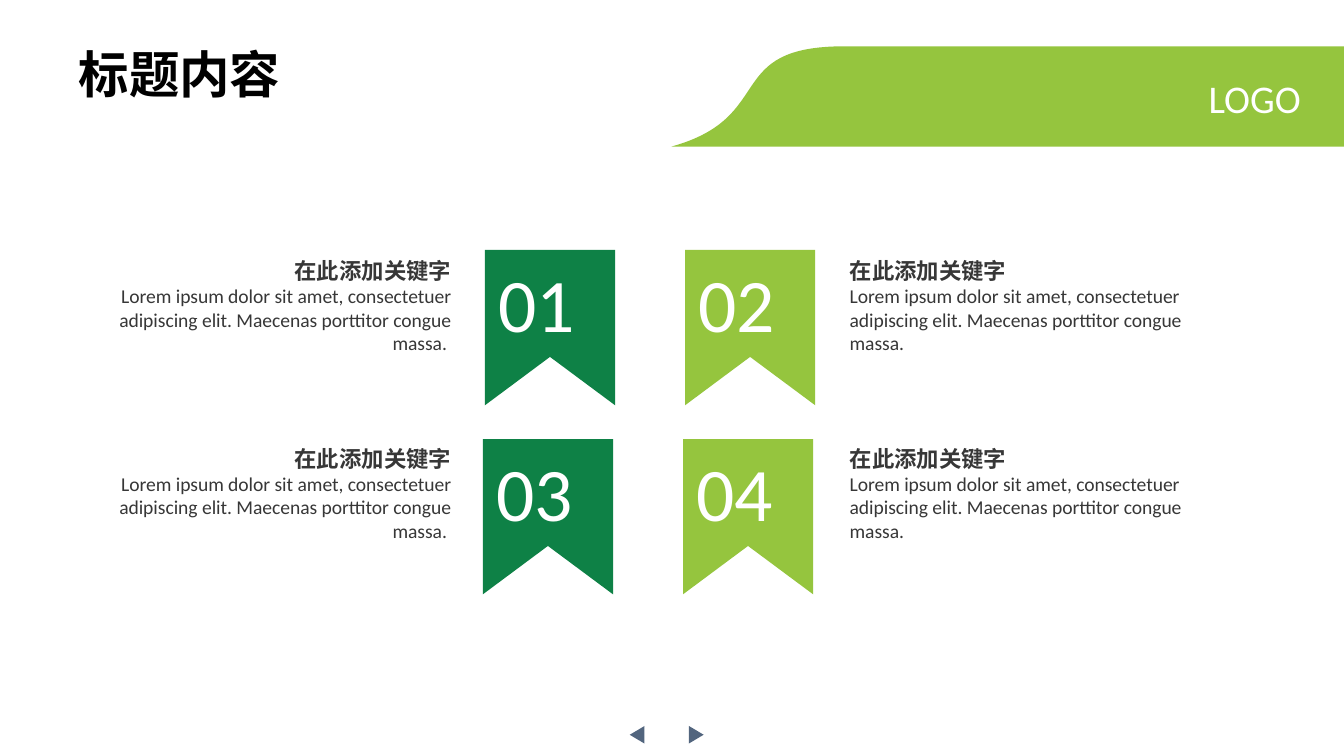
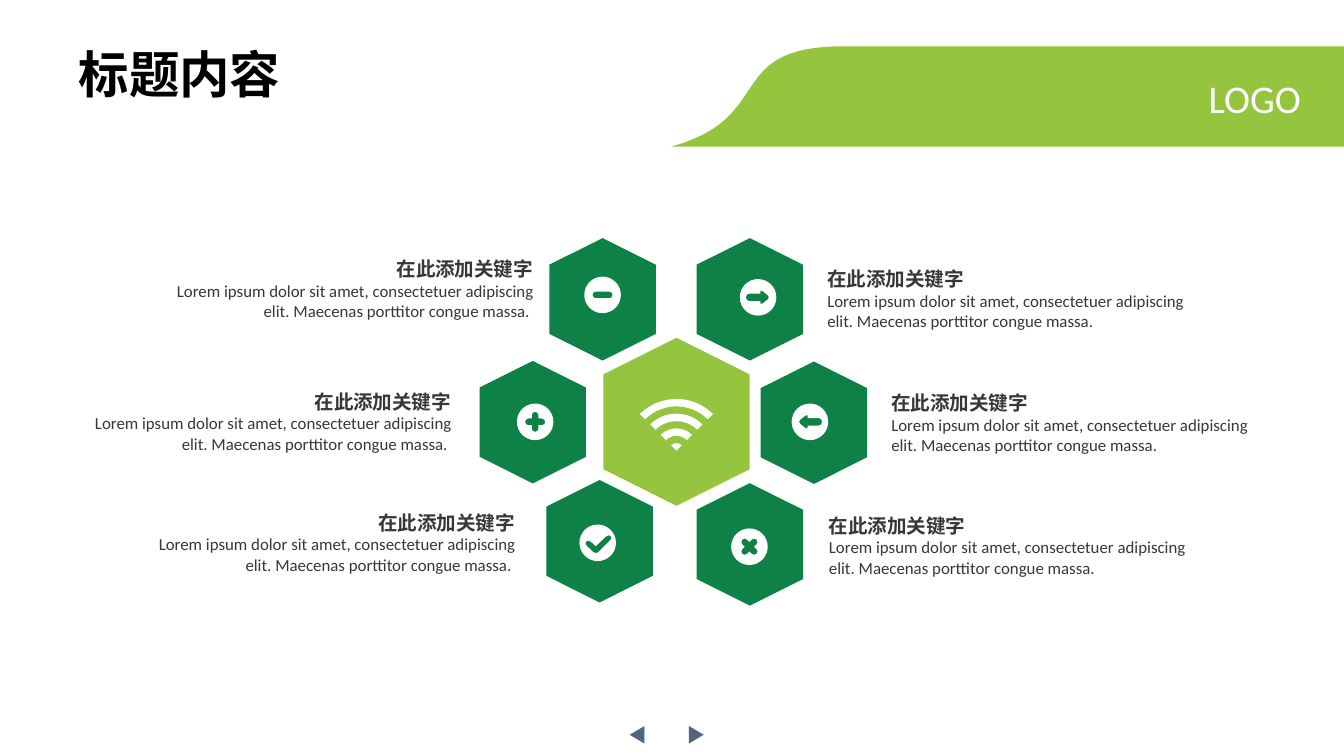
from dataclasses import dataclass
from math import cos, dist, pi, radians, sin

from pptx import Presentation
from pptx.dml.color import RGBColor
from pptx.enum.shapes import MSO_SHAPE
from pptx.enum.text import MSO_ANCHOR, MSO_AUTO_SIZE, PP_ALIGN
from pptx.oxml.ns import qn
from pptx.oxml.xmlchemy import OxmlElement
from pptx.util import Pt


@dataclass(frozen=True)
class Theme:
    font: str = "Calibri"
    black: str = "000000"
    white: str = "FFFFFF"
    body: str = "373737"
    dark_green: str = "0E8146"
    lime: str = "95C53E"
    slate: str = "52657E"
    title_size: float = 27
    logo_size: float = 21
    number_size: float = 40.5
    ribbon_text: tuple = (12, 10.5)
    hexagon_text: tuple = (10.5, 9)


THEME = Theme()
SLIDE_SIZE = (720, 405)
TITLE = "标题内容"
LOGO = "LOGO"
KEYWORD = "在此添加关键字"
LOREM = ("Lorem ipsum dolor sit amet, consectetuer adipiscing elit. "
         "Maecenas porttitor congue massa.")

TITLE_AREA = (35, 19.4, 123.8, 40.3)
LOGO_AREA = (639.9, 36, 64.1, 32.4)
# Each outline is a start point, then lines (one point) and curves (three points)
BAND = [((452.9, 24.8),), ((720, 24.8),), ((720, 78.5),), ((359.8, 78.5),),
        ((416.9, 62.6), (386.6, 24.6), (452.9, 24.8))]
ARROWS = [(368.3, 90), (336.6, 270)]  # left, rotation
ARROW_TOP, ARROW_SIZE = 389.7, (9.4, 7.9)

# Number, ribbon corner, caption corner, fill, caption on the left
RIBBONS = [
    ("01", (259.8, 133.9), (53.1, 134.3), THEME.dark_green, True),
    ("02", (367, 133.9), (448.1, 134.3), THEME.lime, False),
    ("03", (258.7, 235.2), (53.1, 234.9), THEME.dark_green, True),
    ("04", (365.9, 235.2), (448.1, 234.9), THEME.lime, False),
]
RIBBON_SIZE, NOTCH_TOP = (69.7, 83.2), 57.3
RIBBON_CAPTION = (195.8, 59.8)

# Icon, hexagon centre, icon centre, caption corner, caption on the left
HEXAGONS = [
    ("minus", (322.8, 160.4), (322.8, 158), (80.2, 134.2), True),
    ("right", (401.7, 160.4), (406.1, 159.3), (436.1, 139.7), False),
    ("left", (436, 226.5), (433.9, 226), (470.4, 205.9), False),
    ("cross", (401.7, 291.7), (401.5, 292.9), (437, 271.6), False),
    ("check", (321.2, 290), (320.2, 290.8), (70.5, 270), True),
    ("plus", (285.4, 226.2), (286.7, 226), (36.3, 205.2), True),
]
HEXAGON_SIZE, HUB_SIZE = (65.6, 57), (90, 78.4)
HEXAGON_CAPTION = (212.4, 41.8)
HUB_CENTRE, WIFI_FOOT = (362.4, 226), (362.4, 241.4)
WIFI_RADIUS, WIFI_STEP, WIFI_THICKNESS, WIFI_ARCS = 4, 7.9, 4, 4
DISC_RADIUS, CORNER_RADIUS = 9.8, 1.8
CURVATURE = 0.55  # handle length of a quarter circle

PLUS = [(-1.8, -5.4), (1.8, -5.4), (1.8, -1.8), (5.4, -1.8), (5.4, 1.8), (1.8, 1.8),
        (1.8, 5.4), (-1.8, 5.4), (-1.8, 1.8), (-5.4, 1.8), (-5.4, -1.8), (-1.8, -1.8)]
RIGHT = [(-6.5, -2), (1.2, -2), (1.2, -4.3), (6.6, 0), (1.2, 4.3), (1.2, 2), (-6.5, 2)]
TURN = cos(pi / 4)
GLYPHS = {
    "minus": [(-5.4, -1.8), (5.4, -1.8), (5.4, 1.8), (-5.4, 1.8)],
    "plus": PLUS,
    "cross": [((x - y) * TURN, (x + y) * TURN) for x, y in PLUS],
    "right": RIGHT,
    "left": [(-x, y) for x, y in reversed(RIGHT)],
    "check": [(-7.2, 0.4), (-5.1, -1.8), (-1, 1.8), (5.9, -4.7), (8, -2.6), (-1, 6.3)],
}


def color(value):
    return RGBColor.from_string(value)


def arc(radius, begin, quarters):
    """Start point and quarter-circle curves; negative quarters run backwards."""
    sign = 1 if quarters > 0 else -1

    def place(angle, handle=0):
        return (radius * (cos(angle) - handle * sin(angle)),
                radius * (sin(angle) + handle * cos(angle)))

    angles = [radians(begin + sign * 90 * step) for step in range(abs(quarters) + 1)]
    return [(place(angles[0]),)] + [
        (place(a, sign * CURVATURE), place(b, -sign * CURVATURE), place(b))
        for a, b in zip(angles, angles[1:])]


def toward(start, end, share):
    return tuple(s + (e - s) * share for s, e in zip(start, end))


def rounded(corners):
    """Round the outer corners of a clockwise polygon."""
    outline = []
    for index, corner in enumerate(corners):
        before, after = corners[index - 1], corners[(index + 1) % len(corners)]
        turn = ((corner[0] - before[0]) * (after[1] - corner[1])
                - (corner[1] - before[1]) * (after[0] - corner[0]))
        if turn < 0:
            outline.append((corner,))
            continue
        first, last = (toward(corner, other, min(CORNER_RADIUS / dist(corner, other), 0.5))
                       for other in (before, after))
        if not outline or dist(outline[-1][-1], first) > 0.01:
            outline.append((first,))
        outline.append((toward(first, corner, CURVATURE), toward(last, corner, CURVATURE), last))
    return outline


def paint(shape, fill):
    shape.fill.solid()
    shape.fill.fore_color.rgb = color(fill)
    shape.line.fill.background()
    shape.shadow.inherit = False
    return shape


def bend(shape, segments):
    """Turn each run of three lines that stands for a curve into that curve."""
    lines = iter(list(shape.element.iter(qn("a:lnTo"))))
    for segment in segments:
        nodes = [next(lines) for _ in segment]
        if len(nodes) == 3:
            curve = OxmlElement("a:cubicBezTo")
            nodes[0].addprevious(curve)
            for node in nodes:
                curve.append(node[0])
                node.getparent().remove(node)


def add_outline(page, contours, fill, origin=(0, 0)):
    """Draw closed contours, given relative to origin, as one freeform."""
    builder = None
    for contour in contours:
        start, *rest = [(Pt(x + origin[0]), Pt(y + origin[1]))
                        for segment in contour for x, y in segment]
        if builder is None:
            builder = page.shapes.build_freeform(*start, scale=1.0)
        else:
            builder.move_to(*start)
        builder.add_line_segments(rest, close=True)
    shape = paint(builder.convert_to_shape(), fill)
    bend(shape, [segment for contour in contours for segment in contour[1:]])
    return shape


def style(para, size, tone, bold=False, align=PP_ALIGN.LEFT):
    para.alignment = align
    for span in para.runs:
        span.font.name = THEME.font
        span.font.size = Pt(size)
        span.font.bold = bold
        span.font.color.rgb = color(tone)


def add_text_box(page, area, wrap):
    frame = page.shapes.add_textbox(*map(Pt, area)).text_frame
    frame.word_wrap = wrap
    frame.auto_size = MSO_AUTO_SIZE.SHAPE_TO_FIT_TEXT
    return frame


def add_caption(page, corner, size, text_sizes, on_left):
    frame = add_text_box(page, (*corner, *size), True)
    align = PP_ALIGN.RIGHT if on_left else PP_ALIGN.LEFT
    frame.text = f"{KEYWORD}\n{LOREM}{' ' if on_left else ''}"
    for para, text_size, bold in zip(frame.paragraphs, text_sizes, (True, False)):
        style(para, text_size, THEME.body, bold, align)


def add_page(deck):
    """Add a page with the shared title, band and label."""
    page = deck.slides.add_slide(deck.slide_layouts[5])
    title = page.shapes.title
    title.left, title.top, title.width, title.height = map(Pt, TITLE_AREA)
    frame = title.text_frame
    frame.text = TITLE
    frame.word_wrap = False
    frame.auto_size = MSO_AUTO_SIZE.SHAPE_TO_FIT_TEXT
    frame.vertical_anchor = MSO_ANCHOR.TOP
    style(frame.paragraphs[0], THEME.title_size, THEME.black, True)

    add_outline(page, [BAND], THEME.lime)
    label = add_text_box(page, LOGO_AREA, False)
    label.text = LOGO
    style(label.paragraphs[0], THEME.logo_size, THEME.white, align=PP_ALIGN.RIGHT)
    return page


def add_layout_arrows(page):
    """Draw the footer arrows and hand them to the shared layout."""
    for left, rotation in ARROWS:
        arrow = page.shapes.add_shape(MSO_SHAPE.ISOSCELES_TRIANGLE, Pt(left), Pt(ARROW_TOP),
                                      *map(Pt, ARROW_SIZE))
        arrow.rotation = rotation
        paint(arrow, THEME.slate)
        page.slide_layout.shapes.element.append(arrow.element)


def add_ribbon(page, number, corner, fill):
    width, height = RIBBON_SIZE
    outline = [((0, 0),), ((width, 0),), ((width, height),),
               ((width / 2, NOTCH_TOP),), ((0, height),)]
    frame = add_outline(page, [outline], fill, corner).text_frame
    frame.margin_left = frame.margin_bottom = 0
    frame.margin_top, frame.margin_right = Pt(3.7), Pt(14)
    frame.vertical_anchor = MSO_ANCHOR.TOP
    frame.text = number
    style(frame.paragraphs[0], THEME.number_size, THEME.white, align=PP_ALIGN.CENTER)


def add_hexagon(page, centre, size, fill):
    left, top = (middle - length / 2 for middle, length in zip(centre, size))
    hexagon = page.shapes.add_shape(MSO_SHAPE.HEXAGON, *map(Pt, (left, top, *size)))
    hexagon.rotation = 90
    paint(hexagon, fill)


def add_wifi(page):
    contours = []
    for index in range(WIFI_ARCS):
        radius = WIFI_RADIUS + index * WIFI_STEP
        inner = arc(radius - WIFI_THICKNESS, -45, -1) if index else [((0, 0),)]
        contours.append(arc(radius, -135, 1) + inner)
    add_outline(page, contours, THEME.white, WIFI_FOOT)


def build_ribbon_page(page):
    for number, corner, _, fill, _ in RIBBONS:
        add_ribbon(page, number, corner, fill)
    for _, _, corner, _, on_left in RIBBONS:
        add_caption(page, corner, RIBBON_CAPTION, THEME.ribbon_text, on_left)


def build_hexagon_page(page):
    for _, centre, _, _, _ in HEXAGONS:
        add_hexagon(page, centre, HEXAGON_SIZE, THEME.dark_green)
    add_hexagon(page, HUB_CENTRE, HUB_SIZE, THEME.lime)
    add_wifi(page)
    for icon, _, centre, _, _ in HEXAGONS:
        # The disc runs against the glyph so that the glyph stays a hole
        add_outline(page, [arc(DISC_RADIUS, 0, -4), rounded(GLYPHS[icon])],
                    THEME.white, centre)
    for _, _, _, corner, on_left in HEXAGONS:
        add_caption(page, corner, HEXAGON_CAPTION, THEME.hexagon_text, on_left)


def main():
    deck = Presentation()
    deck.slide_width, deck.slide_height = map(Pt, SLIDE_SIZE)
    ribbon_page = add_page(deck)
    add_layout_arrows(ribbon_page)
    build_ribbon_page(ribbon_page)
    build_hexagon_page(add_page(deck))
    deck.save("out.pptx")


if __name__ == "__main__":
    main()
